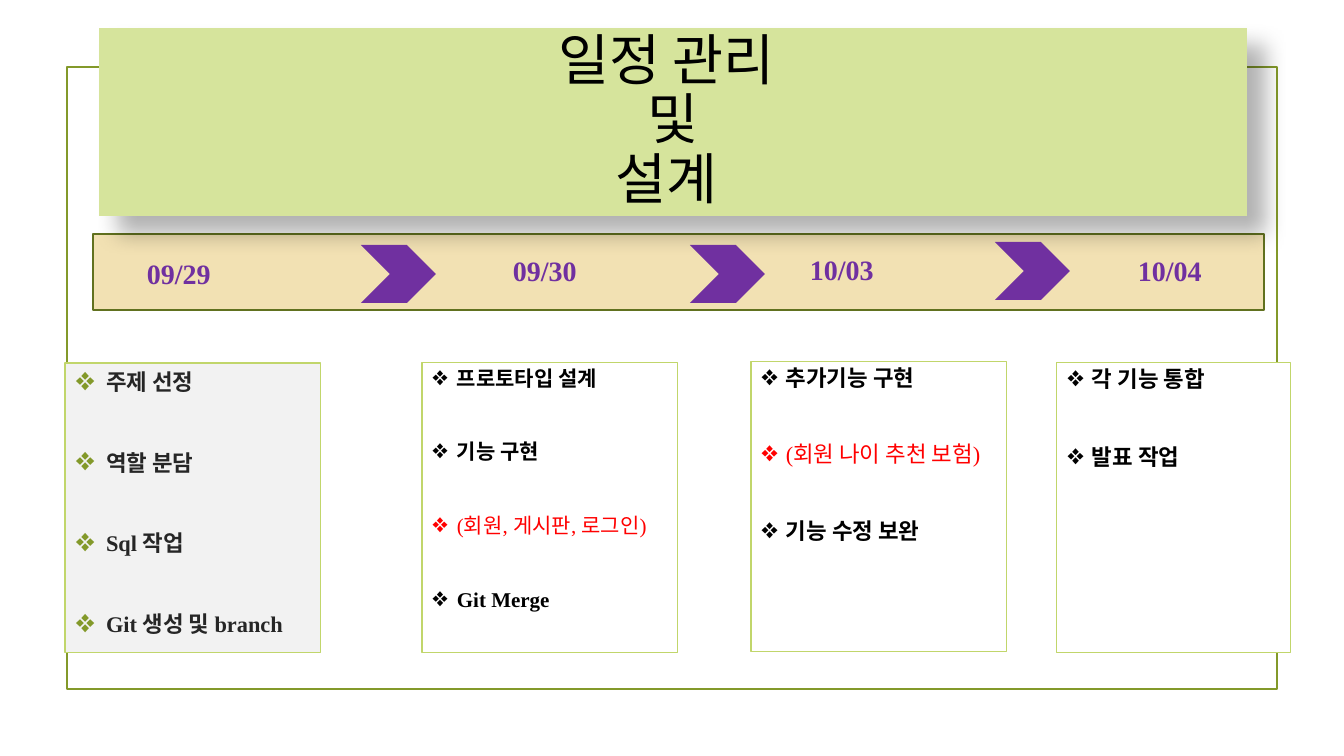
from lxml.etree import SubElement
from pptx import Presentation
from pptx.dml.color import RGBColor
from pptx.enum.shapes import MSO_SHAPE as Shape
from pptx.enum.text import MSO_ANCHOR as Anchor, MSO_AUTO_SIZE as AutoSize, PP_ALIGN as Align
from pptx.oxml import parse_xml
from pptx.oxml.ns import nsdecls, qn
from pptx.util import Pt

PX = 914400 / 100.8
THEME = {
    "latin": "Times New Roman", "korean": "Noto Sans CJK KR",
    "title_size": 39.6, "date_size": 20,
    "title_fill": "D6E49C", "title_edge": "F2F2F2",
    "frame": "83992A", "band": "F2E1B3", "band_edge": "61711F",
    "accent": "7030A0", "card_edge": "C1D66B",
    "first_card": "F2F2F2", "card": "FFFFFF",
    "first_text": "262626", "text": "000000", "alert": "FF0000",
}


def style(shape, box, fill=None, edge=None, edge_width=0.75):
    """Place a shape and set its fill and outline."""
    shape.left, shape.top, shape.width, shape.height = (round(v * PX) for v in box)
    if fill:
        shape.fill.solid()
        shape.fill.fore_color.rgb = RGBColor.from_string(THEME[fill])
    else:
        shape.fill.background()
    if edge:
        shape.line.color.rgb = RGBColor.from_string(THEME[edge])
        shape.line.width = Pt(edge_width)
    else:
        shape.line.fill.background()


def set_font(run, size, color, bold=False, latin="latin"):
    run.font.size = Pt(size)
    run.font.bold = bold
    run.font.name = THEME[latin]
    run.font.color.rgb = RGBColor.from_string(THEME[color])
    SubElement(run.font._element, qn("a:ea")).set("typeface", THEME["korean"])


prs = Presentation()
prs.slide_width, prs.slide_height = round(1344 * PX), round(756 * PX)
slide = prs.slides.add_slide(prs.slide_layouts[1])
shapes = slide.shapes
title, first_card = slide.placeholders

# Frame and timeline band lie behind the title and the first card
for box, fill, edge in (((67, 67, 1210, 622), None, "frame"),
                        ((93, 234, 1171, 76), "band", "band_edge")):
    backdrop = shapes.add_shape(Shape.RECTANGLE, 0, 0, 0, 0)
    backdrop.shadow.inherit = False
    style(backdrop, box, fill, edge, 1.25)
for placeholder in (title, first_card):
    shapes._spTree.append(placeholder._element)

# Title
style(title, (99, 28, 1148, 188), "title_fill")
title.text_frame.text = "일정 관리 \v및\v설계 "
title.text_frame.auto_size = AutoSize.NONE
title.text_frame.vertical_anchor = Anchor.MIDDLE
heading = title.text_frame.paragraphs[0]
heading.alignment = Align.CENTER
heading.line_spacing = 0.9
for run in heading.runs:
    set_font(run, THEME["title_size"], "text", latin="korean")
    run.font._element.insert(0, parse_xml(
        f'<a:ln {nsdecls("a")} w="9525"><a:solidFill>'
        f'<a:srgbClr val="{THEME["title_edge"]}"/></a:solidFill></a:ln>'))
title._element.spPr.append(parse_xml(
    f'<a:effectLst {nsdecls("a")}><a:outerShdw blurRad="190500" dist="228600" '
    'dir="2700000" algn="tl" rotWithShape="0"><a:srgbClr val="000000">'
    '<a:alpha val="30000"/></a:srgbClr></a:outerShdw></a:effectLst>'))

# Timeline
for left, top in ((361, 245), (690, 245), (995, 242)):
    chevron = shapes.add_shape(Shape.CHEVRON, 0, 0, 0, 0)
    chevron.shadow.inherit = False
    style(chevron, (left, top, 75, 58), "accent")

for date, left, top, width in (("09/29", 137, 252, 327), ("09/30", 503, 249, 327),
                               ("10/03", 800, 248, 136), ("10/04", 1128, 249, 327)):
    label = shapes.add_textbox(0, 0, 0, 0)
    style(label, (left, top, width, 44))
    label.text_frame.word_wrap = True
    label.text_frame.text = date
    set_font(label.text_frame.paragraphs[0].runs[0], THEME["date_size"], "accent", True)

# Task cards: box, type size, gap after a task, tasks
cards = (
    ((65, 363, 256, 290), 16, 38.5,
     ("주제 선정", "역할 분담", "Sql 작업", "Git 생성 및 branch")),
    ((422, 363, 256, 290), 15, 36.5,
     ("프로토타입 설계", "기능 구현", "(회원, 게시판, 로그인)", "Git Merge")),
    ((751, 362, 256, 290), 16, 37.5,
     ("추가기능 구현", "(회원 나이 추천 보험)", "기능 수정 보완")),
    ((1057, 363, 234, 290), 16, 38.5, ("각 기능 통합", "발표 작업")),
)
for index, (box, size, gap, tasks) in enumerate(cards):
    is_first = index == 0
    if is_first:
        card = first_card
    else:
        card = shapes.add_shape(Shape.RECTANGLE, 0, 0, 0, 0)
        card.shadow.inherit = False
    style(card, box, "first_card" if is_first else "card", "card_edge")
    frame = card.text_frame
    frame.word_wrap = True
    frame.auto_size = AutoSize.NONE
    frame.vertical_anchor = Anchor.TOP
    frame.text = "\n".join(tasks)
    indent = round((31 if is_first else 25) * PX)
    for task in frame.paragraphs:
        is_alert = task.text.startswith("(")
        color = "alert" if is_alert else "first_text" if is_first else "text"
        task.alignment = Align.LEFT
        task.line_spacing = 1.0 if is_first else 0.9
        task.space_before = Pt(0)
        task.space_after = Pt(gap)
        set_font(task.runs[0], size, color, not is_alert)
        props = task._p.get_or_add_pPr()
        props.set("marL", str(indent))
        props.set("indent", str(-indent))
        bullet_color = SubElement(props, qn("a:buClr"))
        SubElement(bullet_color, qn("a:srgbClr")).set(
            "val", THEME["frame" if is_first else color])
        SubElement(props, qn("a:buSzPct")).set("val", "115000" if is_first else "100000")
        SubElement(props, qn("a:buFont")).set("typeface", THEME["latin"])
        SubElement(props, qn("a:buChar")).set("char", "❖")

prs.save("out.pptx")
